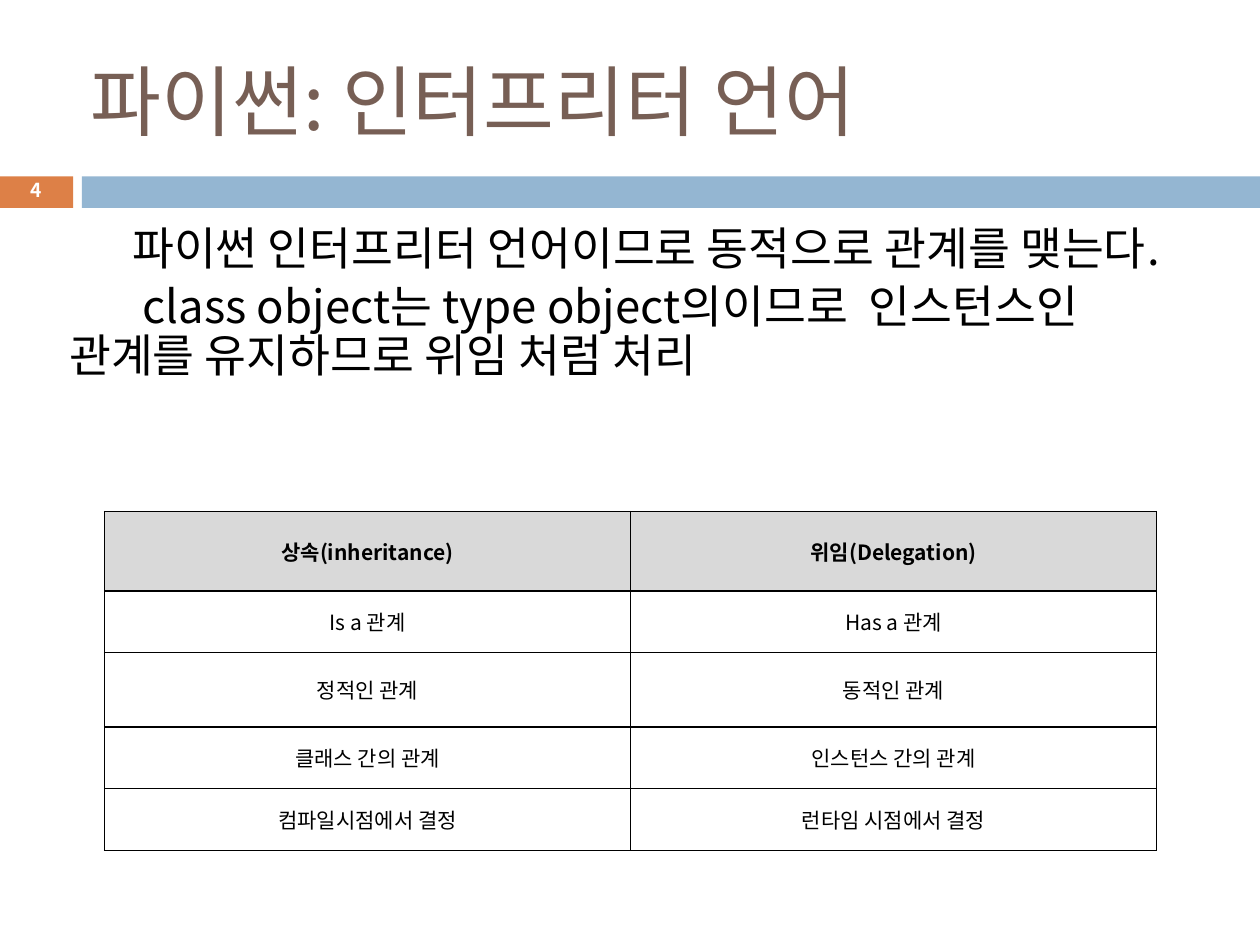
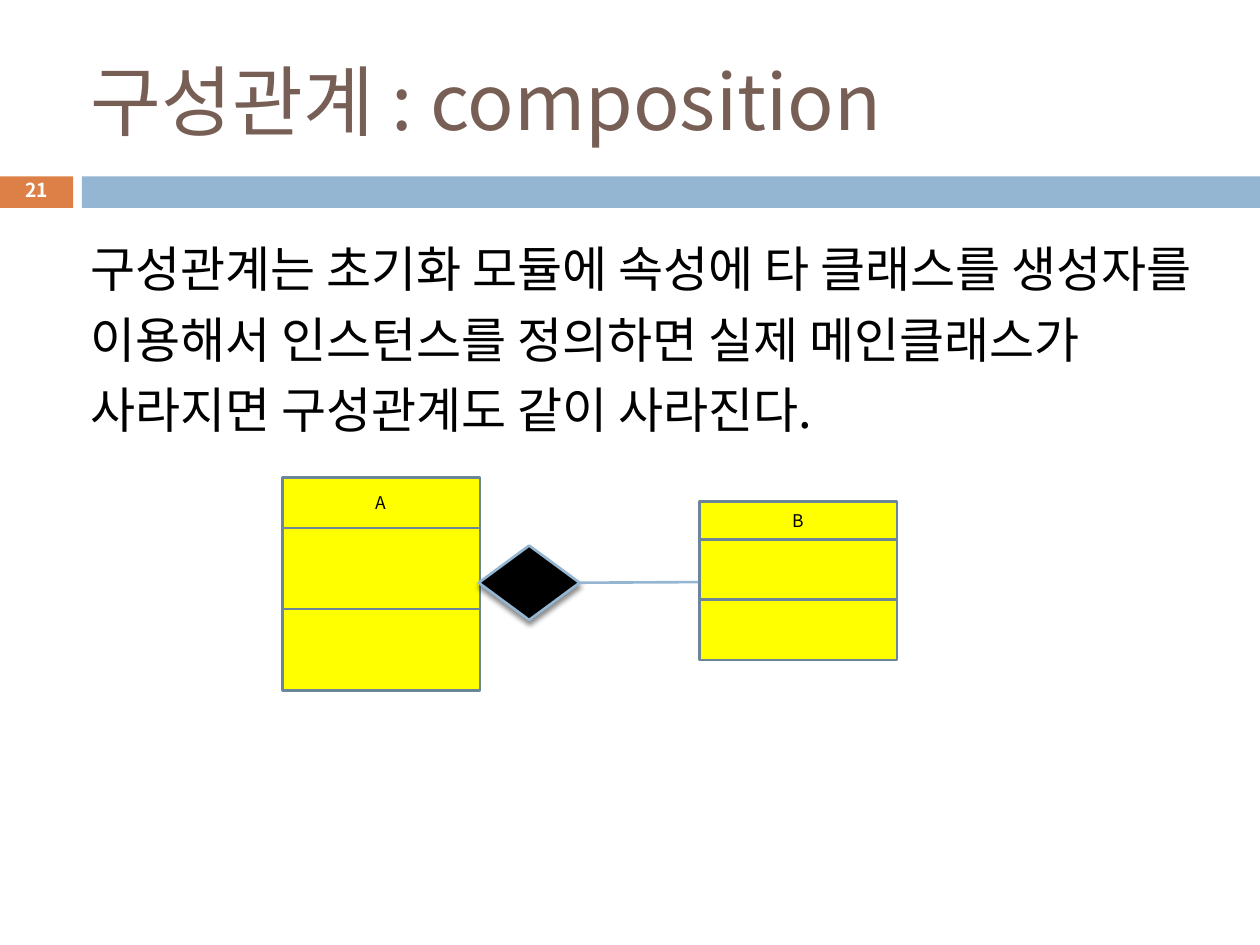
from lxml.etree import SubElement
from pptx import Presentation
from pptx.dml.color import RGBColor
from pptx.enum.shapes import MSO_CONNECTOR, MSO_SHAPE
from pptx.enum.text import MSO_ANCHOR, PP_ALIGN
from pptx.oxml.ns import qn
from pptx.util import Inches, Pt

# Slide size, divided into a grid of 100 columns by 75 rows
SLIDE_WIDTH, SLIDE_HEIGHT = Inches(10), Inches(7.5)
COLUMN, ROW = SLIDE_WIDTH // 100, SLIDE_HEIGHT // 75

FONT = "Noto Sans CJK KR"
INSET = Inches(0.05)

BLACK = RGBColor(0x00, 0x00, 0x00)
WHITE = RGBColor(0xFF, 0xFF, 0xFF)
BROWN = RGBColor(0x77, 0x5F, 0x55)
ORANGE = RGBColor(0xDD, 0x80, 0x47)
BLUE = RGBColor(0x94, 0xB6, 0xD2)
SLATE = RGBColor(0x6C, 0x85, 0x99)
YELLOW = RGBColor(0xFF, 0xFF, 0x00)
GREY = RGBColor(0xD9, 0xD9, 0xD9)

# Shared band: top, height, width of the number part, start of the long part
BAND_TOP, BAND_HEIGHT, NUMBER_WIDTH, BAND_LEFT = 14, 2.5, 5.8, 6.5
CLASS_WIDTH = 15.7

RELATION_ROWS = [
    ("상속(inheritance)", "위임(Delegation)"),
    ("Is a 관계", "Has a 관계"),
    ("정적인 관계", "동적인 관계"),
    ("클래스 간의 관계", "인스턴스 간의 관계"),
    ("컴파일시점에서 결정", "런타임 시점에서 결정"),
]
RELATION_HEIGHTS = [6.3, 4.9, 5.9, 4.9, 4.9]


def place(left, top, width, height):
    return (int(left * COLUMN), int(top * ROW),
            int(width * COLUMN), int(height * ROW))


def set_insets(target):
    target.margin_left = target.margin_right = INSET
    target.margin_top = target.margin_bottom = INSET


def write(para, text, size, color=BLACK, bold=False):
    span = para.add_run()
    span.text = text
    span.font.size = Pt(size)
    span.font.name = FONT
    span.font.bold = bold
    span.font.color.rgb = color
    SubElement(span.font._element, qn("a:ea"), typeface=FONT)


def add_text(page, area, lines, size, color=BLACK, bold=False, align=None,
             anchor=MSO_ANCHOR.TOP, spacing=None, before=0, indent=0):
    box = page.shapes.add_textbox(*place(*area))
    frame = box.text_frame
    frame.word_wrap = True
    frame.vertical_anchor = anchor
    set_insets(frame)
    for number, line in enumerate(lines):
        para = frame.add_paragraph() if number else frame.paragraphs[0]
        para.alignment = align
        para.line_spacing = spacing
        para.space_before = Pt(before)
        if indent:
            properties = para._p.get_or_add_pPr()
            properties.set("marL", "0")
            properties.set("indent", str(int(indent * COLUMN)))
        write(para, line, size, color, bold)


def add_block(shapes, kind, area, fill, line=None):
    block = shapes.add_shape(kind, *place(*area))
    block.shadow.inherit = False
    block.fill.solid()
    block.fill.fore_color.rgb = fill
    if line is None:
        block.line.fill.background()
    else:
        block.line.color.rgb = line
        block.line.width = Pt(1.5)
    return block


def add_page(deck, title, number):
    """Start a slide with the shared title, band and slide number."""
    page = deck.slides.add_slide(deck.slide_layouts[6])
    add_block(page.shapes, MSO_SHAPE.RECTANGLE,
              (0, BAND_TOP, NUMBER_WIDTH, BAND_HEIGHT), ORANGE)
    add_block(page.shapes, MSO_SHAPE.RECTANGLE,
              (BAND_LEFT, BAND_TOP, 100 - BAND_LEFT, BAND_HEIGHT), BLUE)
    add_text(page, (6.7, 2.5, 89.2, 10.8), [title], 44, BROWN,
             anchor=MSO_ANCHOR.MIDDLE)
    add_text(page, (0, 13.7, NUMBER_WIDTH, 3), [str(number)], 11, WHITE,
             bold=True, align=PP_ALIGN.CENTER, anchor=MSO_ANCHOR.MIDDLE,
             spacing=0.8)
    return page


def add_borders(cell):
    properties = cell._tc.get_or_add_tcPr()
    for side in ("lnL", "lnR", "lnT", "lnB"):
        edge = SubElement(properties, qn(f"a:{side}"), w=str(Pt(1)))
        fill = SubElement(edge, qn("a:solidFill"))
        SubElement(fill, qn("a:srgbClr"), val=str(BLACK))


def add_relation_table(page, left, top, width):
    area = place(left, top, width, sum(RELATION_HEIGHTS))
    table = page.shapes.add_table(len(RELATION_ROWS), 2, *area).table
    table.first_row = table.horz_banding = False
    for row, height in zip(table.rows, RELATION_HEIGHTS):
        row.height = int(height * ROW)
    for row_index, texts in enumerate(RELATION_ROWS):
        heading = row_index == 0
        for column_index, text in enumerate(texts):
            cell = table.cell(row_index, column_index)
            set_insets(cell)
            cell.vertical_anchor = MSO_ANCHOR.MIDDLE
            add_borders(cell)
            cell.fill.solid()
            cell.fill.fore_color.rgb = GREY if heading else WHITE
            para = cell.text_frame.paragraphs[0]
            para.alignment = PP_ALIGN.CENTER
            write(para, text, 12, bold=heading)


def add_class_box(page, name, left, top, name_height, part_height):
    """Draw a class as a name row above two equal empty parts."""
    group = page.shapes.add_group_shape()
    parts = []
    for height in (name_height, part_height, part_height):
        parts.append(add_block(group.shapes, MSO_SHAPE.RECTANGLE,
                               (left, top, CLASS_WIDTH, height), YELLOW, SLATE))
        top += height
    frame = parts[0].text_frame
    set_insets(frame)
    frame.vertical_anchor = MSO_ANCHOR.MIDDLE
    frame.paragraphs[0].alignment = PP_ALIGN.CENTER
    write(frame.paragraphs[0], name, 10)


def add_diamond(page, area):
    diamond = add_block(page.shapes, MSO_SHAPE.DIAMOND, area, BLACK, BLUE)
    effects = diamond._element.spPr.find(qn("a:effectLst"))
    shadow = SubElement(effects, qn("a:outerShdw"), blurRad=str(Pt(3)),
                        dist=str(Pt(2.4)), dir="5400000", rotWithShape="0")
    color = SubElement(shadow, qn("a:srgbClr"), val=str(BLACK))
    SubElement(color, qn("a:alpha"), val="45000")
    return diamond


def add_link(page, start_shape, end_column, end_row):
    """Run a line from the right corner of a shape to a grid point."""
    end = int(end_column * COLUMN), int(end_row * ROW)
    link = page.shapes.add_connector(MSO_CONNECTOR.STRAIGHT, 0, 0, *end)
    link.begin_connect(start_shape, 3)
    link.line.color.rgb = BLUE
    link.line.width = Pt(1.5)
    SubElement(link._element.spPr, qn("a:effectLst"))


def main():
    deck = Presentation()
    deck.slide_width, deck.slide_height = SLIDE_WIDTH, SLIDE_HEIGHT

    # Inheritance compared with delegation
    page = add_page(deck, "파이썬: 인터프리터 언어", 4)
    add_text(page, (5, 17.5, 90, 17.7),
             ["파이썬 인터프리터 언어이므로 동적으로 관계를 맺는다.",
              " class object는 type object의이므로  인스턴스인 "
              "관계를 유지하므로 위임 처럼 처리"],
             26, spacing=0.9, before=5, indent=5)
    add_relation_table(page, 8.3, 40.6, 83.5)

    # Composition diagram
    page = add_page(deck, "구성관계 : composition", 21)
    add_text(page, (6.7, 17.5, 89.2, 18.4),
             ["구성관계는 초기화 모듈에 속성에 타 클래스를 생성자를 "
              "이용해서 인스턴스를 정의하면 실제 메인클래스가 "
              "사라지면 구성관계도 같이 사라진다."],
             28, spacing=1.2, before=7)
    add_class_box(page, "A", 22.4, 37.9, 4, 6.45)
    add_class_box(page, "B", 55.5, 39.8, 3, 4.8)
    diamond = add_diamond(page, (38, 43.3, 8, 5.9))
    add_link(page, diamond, 55.4, 46.2)

    deck.save("out.pptx")


if __name__ == "__main__":
    main()
